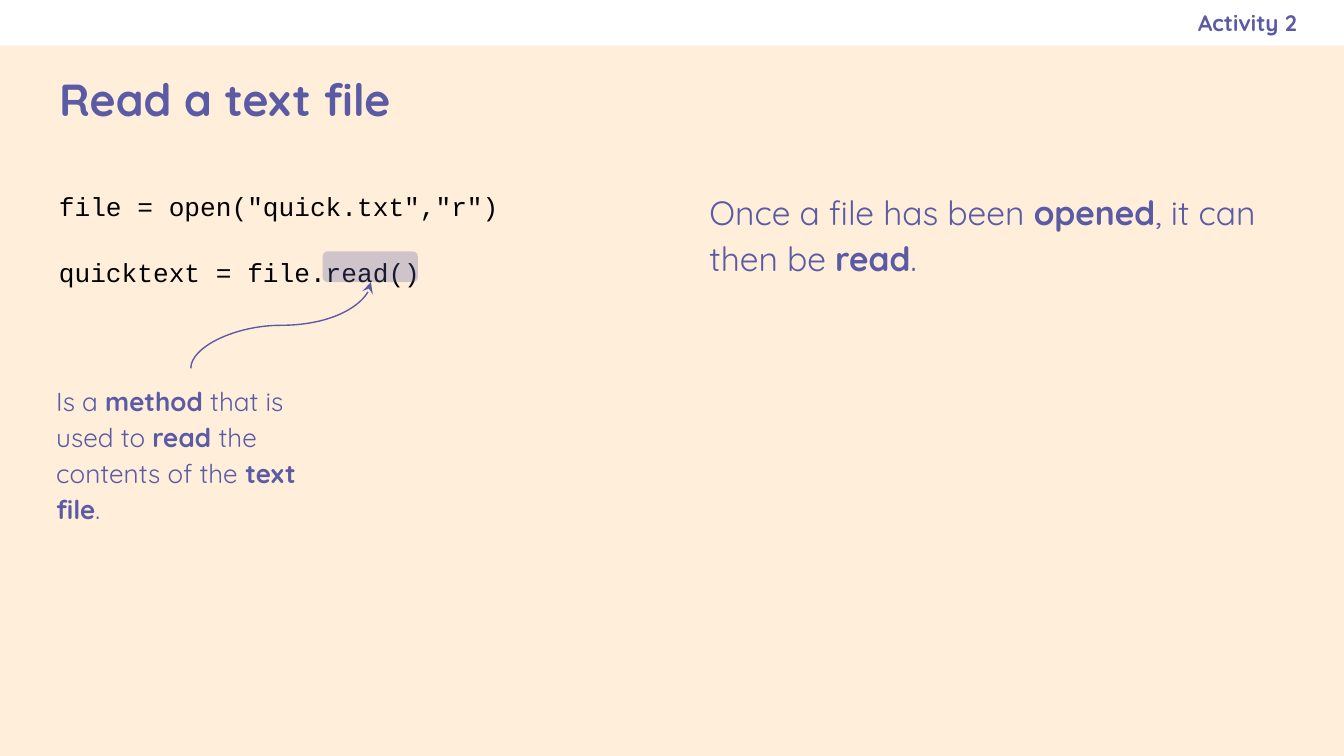
from lxml import etree
from pptx import Presentation
from pptx.dml.color import RGBColor
from pptx.enum.shapes import MSO_CONNECTOR, MSO_SHAPE
from pptx.enum.text import MSO_ANCHOR, MSO_AUTO_SIZE, PP_ALIGN
from pptx.oxml.ns import qn
from pptx.util import Inches, Pt

CURVE = MSO_CONNECTOR.CURVE
RECT, ROUND = MSO_SHAPE.RECTANGLE, MSO_SHAPE.ROUNDED_RECTANGLE
TOP, MIDDLE = MSO_ANCHOR.TOP, MSO_ANCHOR.MIDDLE
LEFT, RIGHT = PP_ALIGN.LEFT, PP_ALIGN.RIGHT
FIXED = MSO_AUTO_SIZE.NONE

COLORS = {"cream": "FFEFDA", "white": "FFFFFF", "violet": "5B5BA5", "black": "000000"}
SANS, MONO = "Quicksand", "Courier New"


def color(name):
    """Return the named palette colour."""
    return RGBColor.from_string(COLORS[name])


def place(shape, left, top, width, height):
    """Set the position and size of a shape in inches."""
    shape.left, shape.top = Inches(left), Inches(top)
    shape.width, shape.height = Inches(width), Inches(height)


def write(shape, lines, size, font=SANS, tint="violet", bold=False,
          align=LEFT, anchor=TOP, right=0.1, line=None, gap=0):
    """Fill a shape with paragraphs, where ** toggles bold."""
    frame = shape.text_frame
    frame.word_wrap, frame.auto_size = True, FIXED
    frame.vertical_anchor = anchor
    frame.margin_left = frame.margin_top = frame.margin_bottom = Inches(0.1)
    frame.margin_right = Inches(right)
    for i, text in enumerate(lines):
        para = frame.add_paragraph() if i else frame.paragraphs[0]
        para.alignment, para.line_spacing = align, line
        para.space_before = Pt(gap if i else 0)
        para.font.name, para.font.size = font, Pt(size)
        para.font.bold, para.font.color.rgb = bold, color(tint)
        for j, part in enumerate(text.split("**")):
            run = para.add_run()
            run.text = part
            if j % 2:
                run.font.bold = True


def add_text(slide, box, lines, size, **style):
    """Add a styled text box."""
    write(slide.shapes.add_textbox(*map(Inches, box)), lines, size, **style)


def add_block(slide, kind, box, tint, alpha=None):
    """Add a plain filled shape, optionally translucent."""
    shape = slide.shapes.add_shape(kind, *map(Inches, box))
    shape.shadow.inherit = False
    shape.fill.solid()
    shape.fill.fore_color.rgb = color(tint)
    shape.line.fill.background()
    if alpha:
        fill = shape.fill._xPr.find(qn("a:solidFill"))
        etree.SubElement(fill[0], qn("a:alpha"), val=str(alpha * 1000))


def add_curve(slide, start, end):
    """Add a curved arrow that leaves and arrives vertically."""
    (x1, y1), (x2, y2) = start, end
    mid_x, mid_y = (x1 + x2) / 2, (y1 + y2) / 2
    half_w, half_h = (y1 - y2) / 2, (x2 - x1) / 2
    ends = (mid_x - half_w, mid_y - half_h, mid_x + half_w, mid_y + half_h)
    arrow = slide.shapes.add_connector(CURVE, *map(Inches, ends))
    arrow.line.color.rgb, arrow.line.width = color("violet"), Pt(0.75)
    props = arrow._element.spPr
    props.find(qn("a:xfrm")).set("rot", str(270 * 60000))
    etree.SubElement(props.find(qn("a:ln")), qn("a:tailEnd"), type="stealth")
    etree.SubElement(props, qn("a:effectLst"))


def main():
    """Build and save the slide."""
    deck = Presentation()
    deck.slide_width, deck.slide_height = Inches(10), Inches(10 * 9 / 16)
    slide = deck.slides.add_slide(deck.slide_layouts[5])
    slide.background.fill.solid()
    slide.background.fill.fore_color.rgb = color("cream")

    add_block(slide, RECT, (0, 0, 10, 0.34), "white")
    title = slide.shapes.title
    place(title, 0.34, 0.35, 9.32, 0.76)
    write(title, ["Read a text file"], 24, bold=True, anchor=MIDDLE)
    add_text(slide, (5.75, 0, 3.9, 0.34), ["Activity 2"], 12, bold=True,
             align=RIGHT, anchor=MIDDLE, right=0)

    code = ['file = open("quick.txt","r")', "quicktext = file.read()"]
    add_text(slide, (0.34, 1.28, 4.48, 2), code, 14, font=MONO,
             tint="black", line=1.15, gap=16)
    add_text(slide, (5.18, 1.28, 4.48, 4),
             ["Once a file has been **opened**, it can then be **read**."],
             18, line=1.15)

    add_block(slide, ROUND, (2.4, 1.87, 0.71, 0.23), "violet", 29)
    note = "Is a **method** that is used to **read **the contents of the **text file**."
    add_text(slide, (0.32, 2.73, 2.21, 1.76), [note], 14, line=1.15)
    add_curve(slide, (1.42, 2.74), (2.76, 2.1))
    deck.save("out.pptx")


if __name__ == "__main__":
    main()
